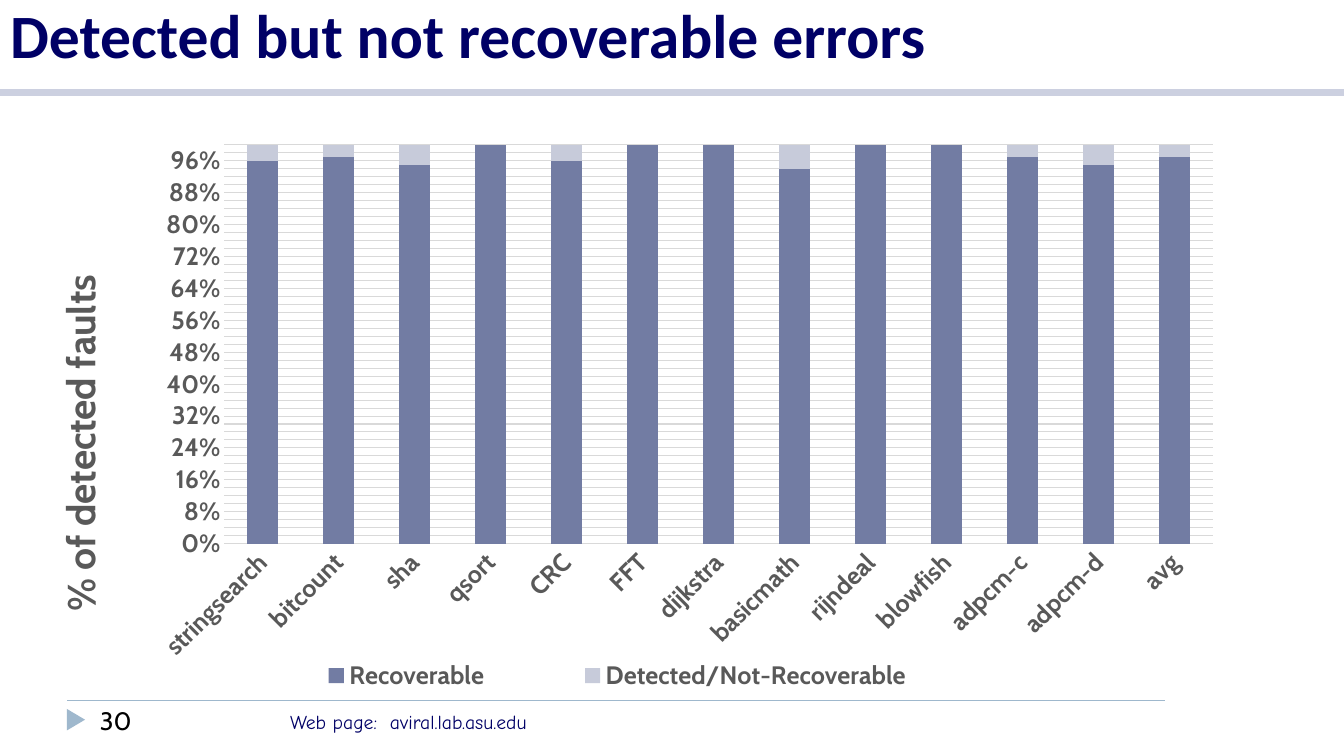
from dataclasses import dataclass

from lxml import etree
from pptx import Presentation
from pptx.chart.data import CategoryChartData
from pptx.dml.color import RGBColor
from pptx.enum.chart import XL_CHART_TYPE, XL_LEGEND_POSITION, XL_TICK_MARK
from pptx.enum.shapes import MSO_CONNECTOR, MSO_SHAPE
from pptx.enum.text import MSO_ANCHOR, PP_ALIGN
from pptx.oxml.ns import qn
from pptx.util import Inches, Pt

STACK = XL_CHART_TYPE.COLUMN_STACKED_100
BOTTOM = XL_LEGEND_POSITION.BOTTOM
NO_TICK = XL_TICK_MARK.NONE
STRAIGHT = MSO_CONNECTOR.STRAIGHT
ARROW = MSO_SHAPE.ISOSCELES_TRIANGLE
LOW = MSO_ANCHOR.BOTTOM
TOP = MSO_ANCHOR.TOP
LEFT = PP_ALIGN.LEFT

TESTS = ["stringsearch", "bitcount", "sha", "qsort", "CRC", "FFT", "dijkstra",
         "basicmath", "rijndeal", "blowfish", "adpcm-c", "adpcm-d", "avg"]
GOOD = [96, 97, 95, 100, 96, 100, 100, 94, 100, 100, 97, 95, 97]


@dataclass(frozen=True)
class Theme:
    navy: str = "000066"
    black: str = "000000"
    gray: str = "595959"
    grid: str = "D9D9D9"
    pale: str = "CCD0E0"
    sky: str = "9FB8CD"
    bars: tuple = ("727CA3", "C7CBDA")
    head: str = "Calibri"
    body: str = "Cabin"
    note: str = "Comic Neue"
    huge: int = 44
    large: int = 28
    mid: int = 18
    small: int = 14


def style(font, size, color, face, bold=False):
    font.size = Pt(size)
    font.name = face
    font.bold = bold
    font.color.rgb = RGBColor.from_string(color)


def write(frame, text, anchor=None, align=None, tab=None, **look):
    frame.word_wrap = True
    if anchor is not None:
        frame.vertical_anchor = anchor
    para = frame.paragraphs[0]
    if align is not None:
        para.alignment = align
    if tab:
        stops = etree.SubElement(para._p.get_or_add_pPr(), qn("a:tabLst"))
        etree.SubElement(stops, qn("a:tab"), pos=str(Inches(tab)), algn="l")
    run = para.add_run()
    run.text = text
    style(run.font, **look)


def place(part, **shares):
    spot = part.find(qn("c:layout"))
    if spot is None:
        spot = etree.Element(qn("c:layout"))
        over = part.find(qn("c:overlay"))
        if over is None:
            part.insert(0, spot)
        else:
            over.addprevious(spot)
    for child in list(spot):
        spot.remove(child)
    box = etree.SubElement(spot, qn("c:manualLayout"))
    if part.tag == qn("c:plotArea"):
        etree.SubElement(box, qn("c:layoutTarget"), val="inner")
    for key in "xy":
        etree.SubElement(box, qn(f"c:{key}Mode"), val="edge")
    for key, share in shares.items():
        etree.SubElement(box, qn(f"c:{key}"), val=str(share))


class Page:
    def __init__(self, theme):
        self.theme = theme
        self.deck = Presentation()
        self.deck.slide_width = Inches(13.33)
        self.deck.slide_height = Inches(7.5)
        self.slide = self.deck.slides.add_slide(self.deck.slide_layouts[5])
        self.shapes = self.slide.shapes

    def at(self, *shares):
        sides = (self.deck.slide_width, self.deck.slide_height) * 2
        return [round(side * share / 100) for side, share in zip(sides, shares)]

    def title(self, text, *spot):
        box = self.shapes.title
        box.left, box.top, box.width, box.height = self.at(*spot)
        write(box.text_frame, text, anchor=LOW, align=LEFT,
              size=self.theme.huge, color=self.theme.navy,
              face=self.theme.head, bold=True)

    def text(self, text, *spot, **look):
        box = self.shapes.add_textbox(*self.at(*spot))
        write(box.text_frame, text, **look)

    def rule(self, left, right, top, color, width):
        line = self.shapes.add_connector(
            STRAIGHT, *self.at(left, top, right, top))
        line.line.color.rgb = RGBColor.from_string(color)
        line.line.width = Pt(width)
        etree.SubElement(line._element.spPr, qn("a:effectLst"))

    def shape(self, kind, *spot, color, turn=0):
        form = self.shapes.add_shape(kind, *self.at(*spot))
        form.shadow.inherit = False
        form.fill.solid()
        form.fill.fore_color.rgb = RGBColor.from_string(color)
        form.line.fill.background()
        form.rotation = turn

    def chart(self, names, rows, label, *spot):
        theme = self.theme
        data = CategoryChartData(number_format="0")
        data.categories = names
        for name, vals in rows.items():
            data.add_series(name, vals)
        chart = self.shapes.add_chart(STACK, *self.at(*spot), data).chart
        look = dict(size=theme.mid, color=theme.gray, face=theme.body, bold=True)
        style(chart.font, **look)
        chart.has_title = False
        plot = chart.plots[0]
        plot.gap_width, plot.overlap = 150, 100
        plot.vary_by_categories = False
        for row, color in zip(plot.series, theme.bars):
            row.format.fill.solid()
            row.format.fill.fore_color.rgb = RGBColor.from_string(color)

        cats, vals = chart.category_axis, chart.value_axis
        for axis in (cats, vals):
            axis.major_tick_mark = axis.minor_tick_mark = NO_TICK
            style(axis.tick_labels.font, **look)
        vals.major_unit = 0.02
        vals.has_major_gridlines = True
        vals.tick_labels.number_format = "0%"
        vals.tick_labels.number_format_is_linked = False
        vals.format.line.fill.background()
        for line in (cats.format.line, vals.major_gridlines.format.line):
            line.color.rgb = RGBColor.from_string(theme.grid)
            line.width = Pt(0.75)
        frame = vals.axis_title.text_frame
        write(frame, label, **(look | dict(size=theme.large)))

        chart.has_legend = True
        chart.legend.position = BOTTOM
        chart.legend.include_in_layout = False
        style(chart.legend.font, **look)

        root = chart._chartSpace
        for route, turn in (("//c:catAx/c:txPr/a:bodyPr", -45),
                            ("//c:valAx/c:title//a:bodyPr", -90)):
            body = root.xpath(route)[0]
            body.set("rot", str(turn * 60000))
            body.set("vert", "horz")
        place(root.xpath("//c:plotArea")[0], x=0.15, y=0.02, w=0.83, h=0.68)
        place(root.xpath("//c:valAx/c:title")[0], x=0, y=0.23)
        place(root.xpath("//c:legend")[0], x=0.16, y=0.89, w=0.64, h=0.07)


def main():
    theme = Theme()
    page = Page(theme)
    page.rule(5, 86.7, 92.7, theme.sky, 1)
    page.rule(0, 100, 12.3, theme.pale, 5)
    page.shape(ARROW, 4.85, 94, 1.6, 2.4, color=theme.sky, turn=90)
    page.text("Web page:\taviral.lab.asu.edu", 20.85, 93.3, 37.5, 4.5, tab=0.99,
              anchor=TOP, size=theme.small, color=theme.navy, face=theme.note)
    page.title("Detected but not recoverable errors", 0, 0, 100, 10)
    page.text("30", 6.7, 92.7, 14.1, 5.3, anchor=TOP,
              size=theme.mid, color=theme.black, face=theme.body)
    rows = {"Recoverable": GOOD,
            "Detected/Not-Recoverable": [100 - val for val in GOOD]}
    page.chart(TESTS, rows, "% of detected faults", 3.4, 17.6, 88.6, 77.6)
    page.deck.save("out.pptx")


if __name__ == "__main__":
    main()
